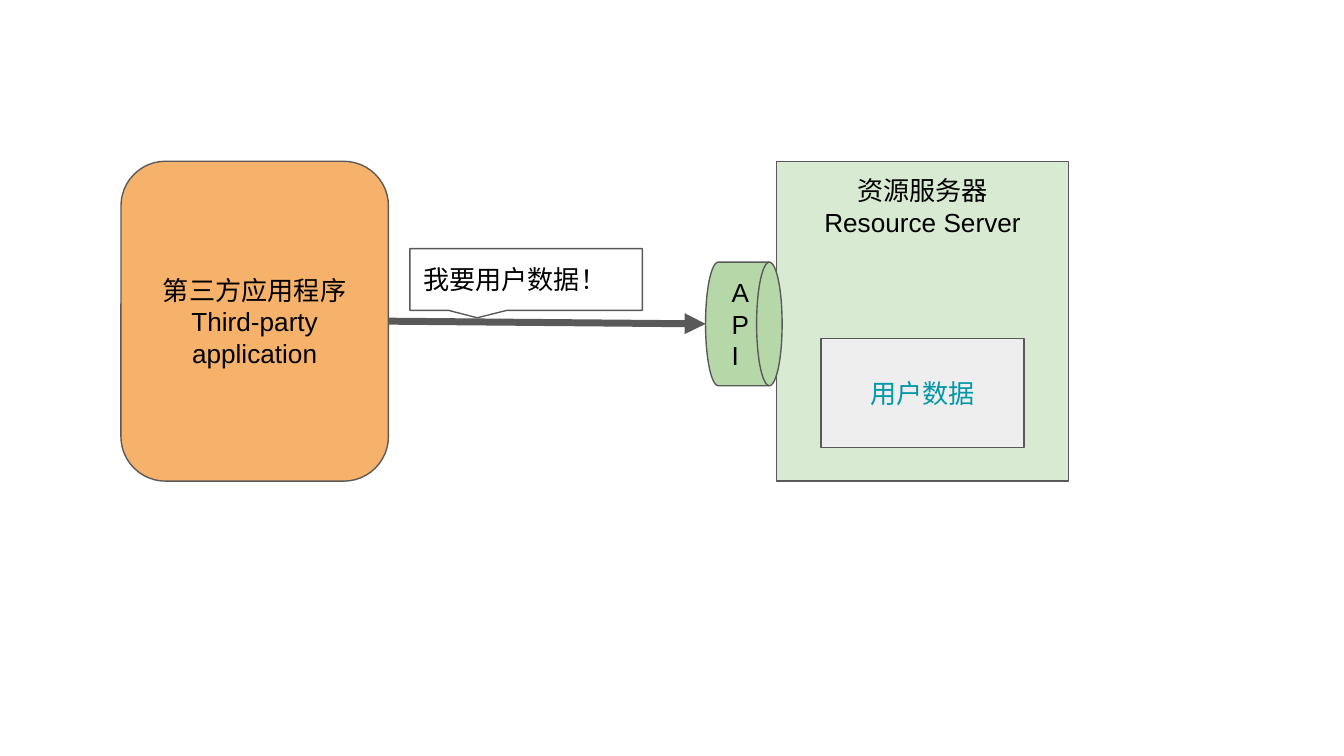
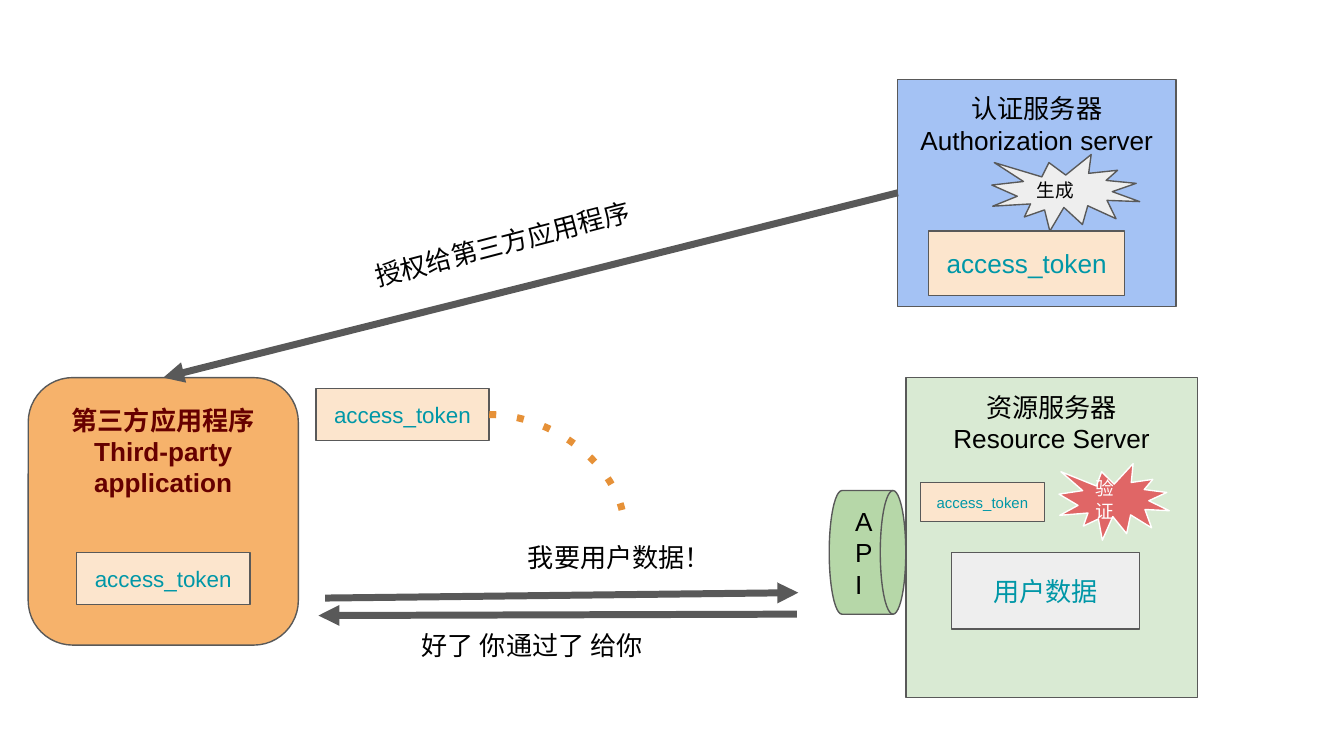
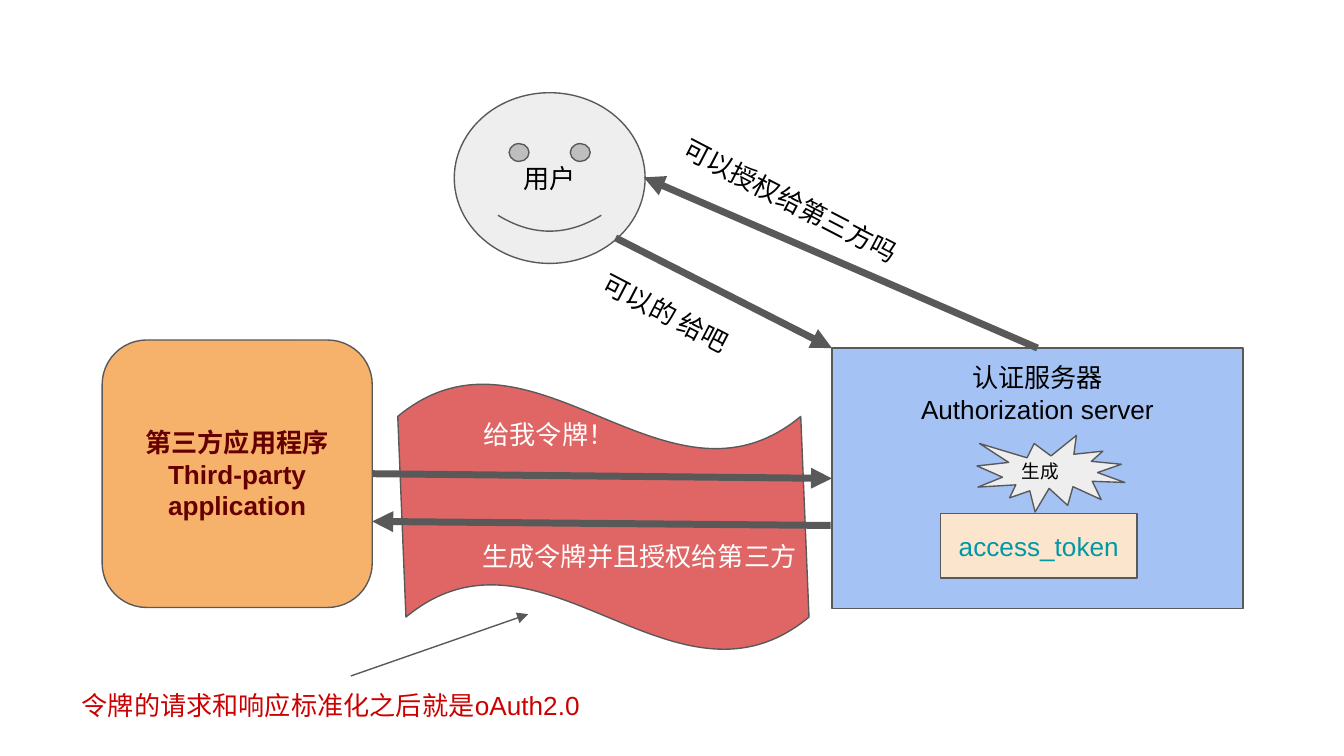
from lxml import etree
from pptx import Presentation
from pptx.dml.color import RGBColor
from pptx.enum.shapes import MSO_CONNECTOR as CONNECTOR, MSO_SHAPE as SHAPE
from pptx.enum.text import MSO_ANCHOR as ANCHOR, PP_ALIGN as ALIGN
from pptx.oxml.ns import qn
from pptx.util import Inches, Pt

COLORS = {
    "text": "000000", "line": "595959", "white": "FFFFFF", "teal": "0097A7",
    "maroon": "660000", "note": "CC0000", "orange": "F6B26B", "dots": "E69138",
    "pale_green": "D9EAD3", "green": "B6D7A8", "blue": "A4C2F4",
    "gray": "EEEEEE", "peach": "FCE5CD", "red": "E06666",
}
FONT = "Arial"
TOP, LEFT, BOTTOM, RIGHT = range(4)

# Each kind of part: preset shape, fill, text, text colour, alignment, anchor
PARTS = {
    "app": (SHAPE.ROUNDED_RECTANGLE, "orange", "第三方应用程序\nThird-party application",
            "maroon", ALIGN.CENTER, ANCHOR.MIDDLE),
    "authorization": (SHAPE.RECTANGLE, "blue", "认证服务器\nAuthorization server",
                      "text", ALIGN.CENTER, ANCHOR.TOP),
    "resource": (SHAPE.RECTANGLE, "pale_green", "资源服务器\nResource Server",
                 "text", ALIGN.CENTER, ANCHOR.TOP),
    "data": (SHAPE.RECTANGLE, "gray", "用户数据", "teal", ALIGN.CENTER, ANCHOR.MIDDLE),
    "token": (SHAPE.RECTANGLE, "peach", "access_token", "teal", ALIGN.CENTER, ANCHOR.MIDDLE),
    "api": (SHAPE.FLOWCHART_DIRECT_ACCESS_STORAGE, "green", "API",
            "text", ALIGN.LEFT, ANCHOR.MIDDLE),
    "generate": (SHAPE.EXPLOSION1, "gray", "生成", "text", ALIGN.LEFT, ANCHOR.MIDDLE),
    "verify": (SHAPE.EXPLOSION1, "red", "验证", "white", ALIGN.LEFT, ANCHOR.MIDDLE),
    "request": (SHAPE.ROUNDED_RECTANGULAR_CALLOUT, "white", "我要用户数据！",
                "text", ALIGN.LEFT, ANCHOR.MIDDLE),
    "user": (SHAPE.SMILEY_FACE, "gray", "用户", "text", ALIGN.CENTER, ANCHOR.MIDDLE),
    "wave": (SHAPE.WAVE, "red", "", "text", ALIGN.CENTER, ANCHOR.MIDDLE),
    "label": (None, None, "", "text", ALIGN.LEFT, ANCHOR.TOP),
}


def add_part(slide, kind, box, text=None, size=14, color=None, bold=False,
             line="line", anchor=None, rotation=0, adjustments=()):
    """Add one part of the given kind; box is left, top, width, height in inches."""
    preset, fill, own_text, own_color, align, own_anchor = PARTS[kind]
    place = [Inches(length) for length in box]
    if preset is None:
        shape = slide.shapes.add_textbox(*place)
    else:
        shape = slide.shapes.add_shape(preset, *place)
        shape.shadow.inherit = False
        shape.fill.solid()
        shape.fill.fore_color.rgb = RGBColor.from_string(COLORS[fill])
        shape.line.color.rgb = RGBColor.from_string(COLORS[line])
        shape.line.width = Pt(0.75)
        for index, value in enumerate(adjustments):
            shape.adjustments[index] = value
    shape.rotation = rotation
    frame = shape.text_frame
    frame.word_wrap = True
    frame.vertical_anchor = own_anchor if anchor is None else anchor
    frame.margin_left = frame.margin_right = Inches(0.1)
    frame.margin_top = frame.margin_bottom = Inches(0.1)
    frame.text = text or own_text
    for paragraph in frame.paragraphs:
        paragraph.alignment = align
        for run in paragraph.runs:
            run.font.name = FONT
            run.font.size = Pt(size)
            run.font.bold = bold
            run.font.color.rgb = RGBColor.from_string(COLORS[color or own_color])
    return shape


def add_link(slide, start, end, width=3.75, color="line", dotted_curve=False):
    """Add a straight arrow, or a dotted quarter curve without a head."""
    kind = CONNECTOR.CURVE if dotted_curve else CONNECTOR.STRAIGHT
    points = [Inches(value) for value in (*start, *end)]
    link = slide.shapes.add_connector(kind, *points)
    link.line.color.rgb = RGBColor.from_string(COLORS[color])
    link.line.width = Pt(width)
    properties = link._element.spPr
    outline = properties.find(qn("a:ln"))
    if dotted_curve:
        properties.find(qn("a:prstGeom")).set("prst", "curvedConnector2")
        etree.SubElement(outline, qn("a:prstDash"), val="dot")
    else:
        etree.SubElement(outline, qn("a:tailEnd"), type="triangle")
    etree.SubElement(properties, qn("a:effectLst"))
    return link


presentation = Presentation()
presentation.slide_width = Inches(10)
presentation.slide_height = Inches(10) * 9 // 16
blank = presentation.slide_layouts[6]

# Slide 1: the application asks for user data
slide = presentation.slides.add_slide(blank)
add_part(slide, "resource", (5.78, 1.2, 2.17, 2.38))
add_part(slide, "data", (6.11, 2.52, 1.51, 0.81))
app = add_part(slide, "app", (0.9, 1.2, 1.99, 2.38), color="text")
arrow = add_link(slide, (2.89, 2.39), (5.25, 2.41))
add_part(slide, "request", (3.05, 1.85, 1.73, 0.46), adjustments=(-0.21, 0.62, 0))
api = add_part(slide, "api", (5.25, 1.95, 0.57, 0.92))
arrow.begin_connect(app, RIGHT)
arrow.end_connect(api, LEFT)

# Slide 2: the token is generated, sent along and verified
slide = presentation.slides.add_slide(blank)
app = add_part(slide, "app", (0.21, 2.81, 2.01, 1.99), bold=True, anchor=ANCHOR.TOP)
authorization = add_part(slide, "authorization", (6.68, 0.59, 2.07, 1.69))
add_part(slide, "resource", (6.74, 2.81, 2.17, 2.38))
add_part(slide, "data", (7.08, 4.11, 1.4, 0.57))
add_part(slide, "api", (6.17, 3.65, 0.57, 0.92))
add_part(slide, "token", (6.91, 1.72, 1.46, 0.48))
add_part(slide, "generate", (7.38, 1.15, 1.1, 0.57), size=10)
grant = add_link(slide, (6.68, 1.43), (1.22, 2.81))
grant.begin_connect(authorization, LEFT)
grant.end_connect(app, TOP)
add_part(slide, "label", (2.65, 1.57, 2.36, 0.35), "授权给第三方应用程序", rotation=345.4)
sent_token = add_part(slide, "token", (2.35, 2.89, 1.29, 0.39), size=12)
add_link(slide, (2.42, 4.45), (5.94, 4.41))
request = add_part(slide, "label", (3.83, 3.93, 1.63, 0.48), "我要用户数据！")
curve = add_link(slide, (3.64, 3.08), (4.65, 3.93), color="dots", dotted_curve=True)
curve.begin_connect(sent_token, RIGHT)
curve.end_connect(request, TOP)
add_part(slide, "token", (0.57, 4.11, 1.29, 0.39), size=12)
add_part(slide, "verify", (7.88, 3.45, 0.82, 0.57), size=10, line="white")
add_part(slide, "token", (6.85, 3.59, 0.92, 0.29), size=8)
add_link(slide, (5.93, 4.57), (2.37, 4.58))
add_part(slide, "label", (3.04, 4.58, 2.2, 0.57), "好了 你通过了 给你")

# Slide 3: the user approves and the token is handed out
slide = presentation.slides.add_slide(blank)
add_part(slide, "wave", (2.96, 2.85, 3.06, 1.99), adjustments=(1 / 8, 0.01))
app = add_part(slide, "app", (0.76, 2.53, 2.01, 1.99), bold=True)
authorization = add_part(slide, "authorization", (6.19, 2.59, 3.06, 1.94))
add_part(slide, "user", (3.38, 0.69, 1.42, 1.27))
ask_token = add_link(slide, (2.77, 3.53), (6.19, 3.56))
ask_token.begin_connect(app, RIGHT)
ask_token.end_connect(authorization, LEFT)
add_part(slide, "label", (3.5, 3.01, 2.79, 0.35), "给我令牌！", color="white")
ask_user = add_link(slide, (7.72, 2.59), (4.79, 1.32))
ask_user.begin_connect(authorization, TOP)
add_link(slide, (4.58, 1.77), (6.19, 2.59))
for text, left, top in (("可以授权给第三方吗", 4.88, 1.47), ("可以的 给吧", 4.28, 2.48)):
    add_part(slide, "label", (left, top, 2.79, 0.35), text, rotation=27.4)
add_part(slide, "token", (7, 3.82, 1.46, 0.48))
add_part(slide, "generate", (7.27, 3.24, 1.1, 0.57), size=10)
add_link(slide, (6.18, 3.91), (2.77, 3.88))
add_part(slide, "label", (3.49, 3.92, 2.79, 0.35), "生成令牌并且授权给第三方", color="white")
add_link(slide, (2.61, 5.03), (3.93, 4.57), width=0.75)
add_part(slide, "label", (0.51, 5.03, 4.2, 0.35),
         "令牌的请求和响应标准化之后就是oAuth2.0", color="note")

presentation.save("out.pptx")
